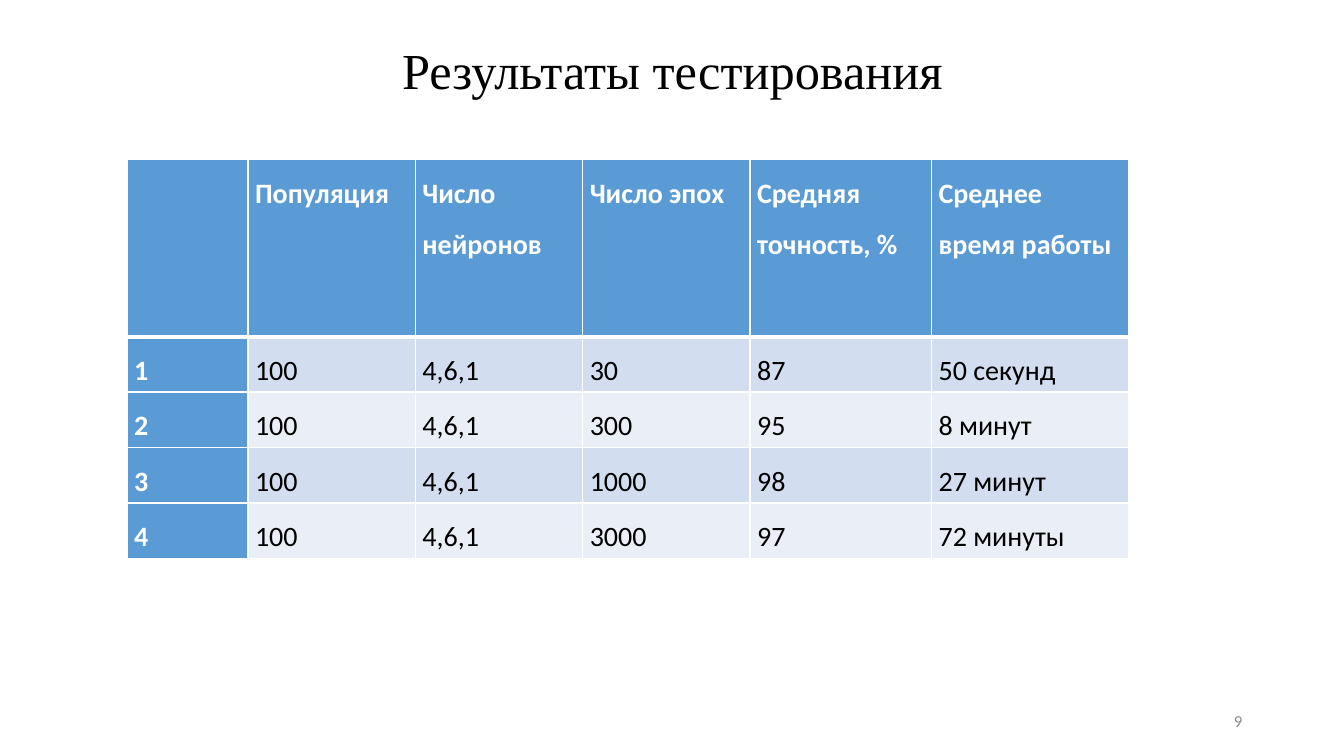
from lxml import etree
from pptx import Presentation, util as u
from pptx.dml.color import RGBColor
from pptx.enum import text as t
from pptx.oxml.ns import qn

TITLE = "Результаты тестирования"
PAGE = "9"
ROWS = [
    ("", "Популяция", "Число нейронов", "Число эпох", "Средняя точность, %", "Среднее время работы"),
    ("1", "100", "4,6,1", "30", "87", "50 секунд"),
    ("2", "100", "4,6,1", "300", "95", "8 минут"),
    ("3", "100", "4,6,1", "1000", "98", "27 минут"),
    ("4", "100", "4,6,1", "3000", "97", "72 минуты"),
]
HUES = {"head": "5B9BD5", "odd": "D2DEEF", "even": "EAEFF7",
        "white": "FFFFFF", "black": "000000", "gray": "8C8C8C"}
WIDE, HIGH = 13.33, 7.5
COLS = [1.2, 1.66, 1.66, 1.66, 1.8, 1.95]
TALL = [1.76] + [0.55] * 4
LEFT, TOP = 1.26, 1.58
ALIGN = t.PP_ALIGN
FONTS = {
    "title": {"name": "Times New Roman", "size": u.Pt(36)},
    "page": {"name": "Calibri", "size": u.Pt(12)},
    "head": {"name": "Calibri", "size": u.Pt(20), "bold": True},
    "body": {"name": "Calibri", "size": u.Pt(20), "bold": False},
}
PARAS = {
    "title": {"alignment": ALIGN.CENTER, "line_spacing": 0.9},
    "page": {"alignment": ALIGN.RIGHT},
    "cell": {"alignment": ALIGN.JUSTIFY, "line_spacing": 1.5, "space_after": u.Pt(8)},
}
INSET = {"margin_left": u.Inches(0.07), "margin_right": u.Inches(0.07),
         "margin_top": 0, "margin_bottom": 0}


def apply(item, form):
    for key, val in form.items():
        setattr(item, key, val)


def write(frame, words, font, para, hue):
    line = frame.paragraphs[0]
    apply(line, para)
    run = line.add_run()
    run.text = words
    apply(run.font, font)
    run.font.color.rgb = RGBColor.from_string(HUES[hue])


def label(slide, box, words, kind, hue):
    frame = slide.shapes.add_textbox(*map(u.Inches, box)).text_frame
    apply(frame, {"word_wrap": True, "vertical_anchor": t.MSO_ANCHOR.MIDDLE})
    write(frame, words, FONTS[kind], PARAS[kind], hue)


def edge(cell, row):
    props = cell._tc.get_or_add_tcPr()
    thick = {"T": row == 1, "B": row == 0}
    for side in "LRTB":
        width = u.Pt(3 if thick.get(side) else 1)
        line = etree.SubElement(props, qn(f"a:ln{side}"), w=str(width))
        fill = etree.SubElement(line, qn("a:solidFill"))
        etree.SubElement(fill, qn("a:srgbClr"), val=HUES["white"])


def grid(slide):
    box = (LEFT, TOP, sum(COLS), sum(TALL))
    table = slide.shapes.add_table(len(ROWS), len(COLS), *map(u.Inches, box)).table
    table.first_col = True
    for col, size in zip(table.columns, COLS):
        col.width = u.Inches(size)
    for row, size in zip(table.rows, TALL):
        row.height = u.Inches(size)
    for r, row in enumerate(ROWS):
        for c, words in enumerate(row):
            cell = table.cell(r, c)
            head = r == 0 or c == 0
            edge(cell, r)
            apply(cell, INSET)
            cell.fill.solid()
            tone = "head" if head else "odd" if r % 2 else "even"
            cell.fill.fore_color.rgb = RGBColor.from_string(HUES[tone])
            if words:
                write(cell.text_frame, words, FONTS["head" if head else "body"],
                      PARAS["cell"], "white" if head else "black")


def main():
    deck = Presentation()
    deck.slide_width, deck.slide_height = u.Inches(WIDE), u.Inches(HIGH)
    slide = deck.slides.add_slide(deck.slide_layouts[6])
    label(slide, (9.42, 6.95, 3, 0.4), PAGE, "page", "gray")
    label(slide, (0.92, 0.15, 11.5, 1.16), TITLE, "title", "black")
    grid(slide)
    deck.save("out.pptx")


if __name__ == "__main__":
    main()
